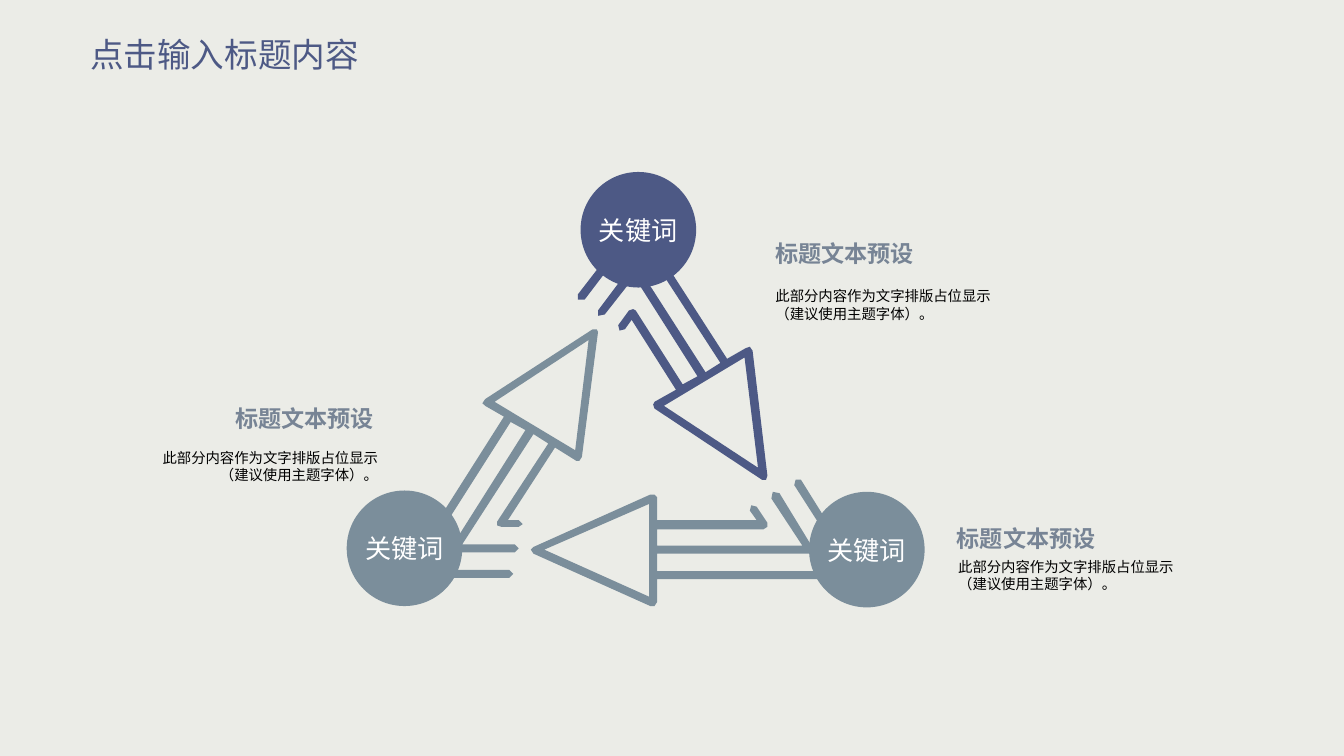
import lxml.etree
import pptx
import pptx.dml.color
import pptx.enum.shapes
import pptx.enum.text
import pptx.oxml.ns
import pptx.util

FACE = "Noto Sans CJK SC"
HUES = {"back": "EBECE7", "navy": "4D5985", "slate": "7B8E9B",
        "head": "778495", "white": "FFFFFF", "black": "000000"}
ALIGN = pptx.enum.text.PP_ALIGN
ANCHOR = pptx.enum.text.MSO_ANCHOR

deck = pptx.Presentation()
deck.slide_width = pptx.util.Inches(10)
deck.slide_height = deck.slide_width * 9 // 16
slide = deck.slides.add_slide(deck.slide_layouts[5])
unit = deck.slide_width // 1000  # the grid has 1000 columns, with square cells


def paint(fill, hue):
    fill.solid()
    fill.fore_color.rgb = pptx.dml.color.RGBColor.from_string(HUES[hue])


def write(shape, lines, size, hue, align, anchor, wrap, pad, bold=False):
    frame = shape.text_frame
    frame.auto_size = pptx.enum.text.MSO_AUTO_SIZE.NONE
    frame.word_wrap = wrap
    frame.vertical_anchor = anchor
    frame.margin_left = frame.margin_right = pad[0] * unit
    frame.margin_top = frame.margin_bottom = pad[1] * unit
    para = frame.paragraphs[0]
    para.alignment = align
    for row, line in enumerate(lines):
        if row:
            para.add_line_break()
        run = para.add_run()
        run.text = line
        run.font.size = pptx.util.Pt(size)
        run.font.bold = bold
        run.font.name = FACE
        paint(run.font.fill, hue)
        east = lxml.etree.SubElement(run._r.get_or_add_rPr(), pptx.oxml.ns.qn("a:ea"))
        east.set("typeface", FACE)


# Background and title
paint(slide.background.fill, "back")
title = slide.shapes.title
title.left, title.top, title.width, title.height = [n * unit for n in (67, 19, 233, 42)]
write(title, ["点击输入标题内容"], 18, "navy", ALIGN.LEFT, ANCHOR.MIDDLE, True, (0, 5))

# Arrows: outer edge, then the hole in the head
arrows = [
    ("navy", [
        [(486, 301), (487, 304), (567, 357), (568, 357), (570, 357), (571, 354),
         (560, 261), (558, 258), (555, 259), (541, 267), (476, 166), (474, 165),
         (471, 166), (430, 219), (430, 223), (435, 223), (473, 173), (536, 270),
         (525, 277), (475, 199), (472, 197), (469, 199), (445, 231), (445, 235),
         (450, 234), (472, 206), (519, 280), (508, 286), (473, 231), (471, 230),
         (468, 231), (460, 242), (461, 246), (465, 245), (470, 238), (503, 290),
         (487, 299)],
        [(554, 266), (564, 348), (494, 302)]]),
    ("slate", [
        [(639, 426), (596, 357), (592, 357), (591, 361), (632, 425), (489, 425),
         (489, 412), (603, 412), (605, 410), (605, 408), (580, 367), (575, 366),
         (574, 371), (597, 406), (489, 406), (489, 394), (568, 394), (571, 392),
         (571, 389), (563, 377), (559, 376), (558, 380), (563, 387), (489, 387),
         (489, 370), (487, 368), (484, 368), (397, 407), (395, 409), (397, 412),
         (484, 451), (487, 451), (489, 448), (489, 431), (637, 431), (639, 429)],
        [(483, 444), (405, 409), (483, 375)]]),
    ("slate", [
        [(386, 387), (378, 387), (413, 333), (429, 343), (431, 343), (433, 340),
         (445, 247), (444, 245), (441, 245), (361, 297), (359, 300), (361, 302),
         (375, 310), (302, 425), (302, 428), (304, 430), (379, 430), (382, 427),
         (379, 424), (310, 424), (380, 314), (391, 320), (336, 407), (336, 410),
         (338, 411), (383, 411), (386, 408), (383, 405), (344, 405), (397, 323),
         (408, 330), (370, 388), (370, 391), (373, 392), (386, 392), (389, 390)],
        [(438, 253), (428, 335), (368, 299)]]),
]
for hue, (edge, hole) in arrows:
    pen = slide.shapes.build_freeform(*edge[0], scale=unit)
    pen.add_line_segments(edge[1:], close=True)
    pen.move_to(*hole[0])
    pen.add_line_segments(hole[1:], close=True)
    arrow = pen.convert_to_shape()
    arrow.shadow.inherit = False
    arrow.line.fill.background()
    paint(arrow.fill, hue)

# Keyword discs, placed by their centres
disc = 86
for x, y, hue in [(475, 171, "navy"), (301, 408, "slate"), (645, 409, "slate")]:
    ball = slide.shapes.add_shape(
        pptx.enum.shapes.MSO_SHAPE.OVAL, (x - disc // 2) * unit, (y - disc // 2) * unit,
        disc * unit, disc * unit)
    ball.shadow.inherit = False
    ball.line.fill.background()
    paint(ball.fill, hue)
    write(ball, ["关键词"], 14, "white", ALIGN.CENTER, ANCHOR.MIDDLE, False, (10, 5))

# Captions: heading corner, then body left, top and width
notes = [
    (565, 172, 565, 208, 220, ALIGN.LEFT),
    (700, 384, 701, 409, 220, ALIGN.LEFT),
    (171, 295, 79, 328, 214, ALIGN.RIGHT),
]
for x, y, left, top, wide, align in notes:
    head = slide.shapes.add_textbox(x * unit, y * unit, 119 * unit, 29 * unit)
    write(head, ["标题文本预设"], 12.4, "head", align, ANCHOR.TOP, False, (12, 6), True)
    body = slide.shapes.add_textbox(left * unit, top * unit, wide * unit, 40 * unit)
    write(body, ["此部分内容作为文字排版占位显示", "（建议使用主题字体）。"],
          7.7, "black", align, ANCHOR.TOP, True, (12, 6))

deck.save("out.pptx")
